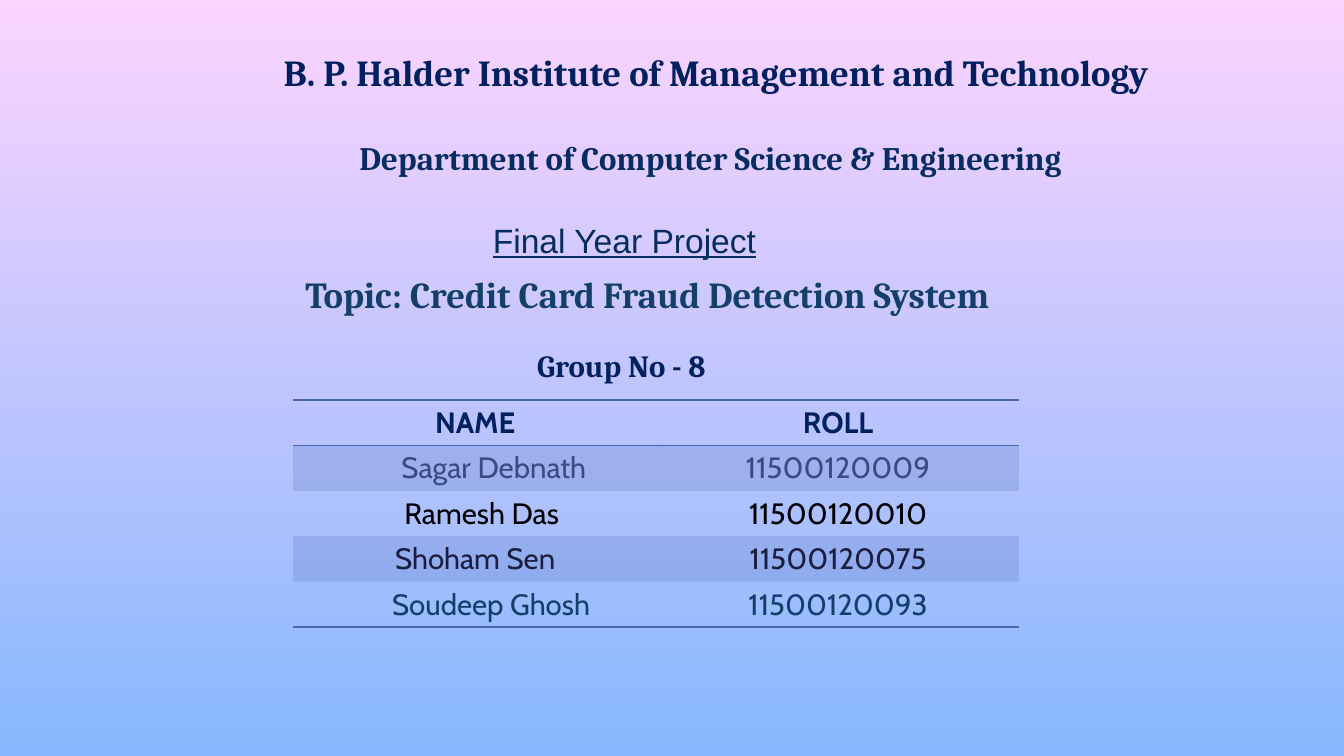
"""Build the title slide of a final year project."""
import pptx
import pptx.util
import pptx.dml.color
import pptx.enum.text
import pptx.oxml
import pptx.oxml.ns

Cm = pptx.util.Cm
Pt = pptx.util.Pt
RGB = pptx.dml.color.RGBColor
ALIGN = pptx.enum.text.PP_ALIGN

NAVY = RGB(0x00, 0x20, 0x60)
INK = RGB(0x07, 0x2C, 0x62)
TEAL = RGB(0x14, 0x3F, 0x6A)
SLATE = RGB(0x38, 0x4C, 0x81)
BLACK = RGB(0, 0, 0)
DARK = RGB(0x1B, 0x1E, 0x3E)
RULE = RGB(0x4A, 0x66, 0xAC)
PINK = RGB(0xFB, 0xD4, 0xFF)
SKY = RGB(0x87, 0xB7, 0xFF)

TEAM = [
    ("NAME", "ROLL", NAVY, 0),
    ("Sagar Debnath", "11500120009", SLATE, 0.94),
    ("Ramesh Das", "11500120010", BLACK, 0.33),
    ("Shoham Sen", "11500120075", DARK, 0),
    ("Soudeep Ghosh", "11500120093", TEAL, 0.8),
]


def write(para, text, font="Cambria", size=26.2, color=NAVY, bold=True,
          line=False, align=ALIGN.CENTER, before=0, indent=0):
    """Put formatted text into a paragraph."""
    para.alignment = align
    para.space_before = Pt(before)
    if indent:
        para._p.get_or_add_pPr().set("marL", str(Cm(indent)))
    run = para.add_run()
    run.text = text
    run.font.name = font
    run.font.size = Pt(size)
    run.font.bold = bold
    run.font.underline = line
    run.font.color.rgb = color


class Deck:
    """Hold the slide and draw its parts in one style."""

    def __init__(self):
        """Open a deck with one blank slide."""
        self.file = pptx.Presentation()
        self.file.slide_width = Cm(33.87)
        self.file.slide_height = Cm(19.05)
        self.slide = self.file.slides.add_slide(self.file.slide_layouts[6])

    def fade(self, top, base):
        """Fill the background from top to base."""
        fill = self.slide.background.fill
        fill.gradient()
        fill.gradient_angle = 270
        for stop, color, place in zip(fill.gradient_stops, (top, base), (0, 1)):
            stop.color.rgb = color
            stop.position = place

    def text(self, left, top, width, height, *lines):
        """Add a text box with one paragraph per line."""
        box = self.slide.shapes.add_textbox(Cm(left), Cm(top), Cm(width), Cm(height))
        frame = box.text_frame
        frame.word_wrap = True
        for i, (words, style) in enumerate(lines):
            para = frame.add_paragraph() if i else frame.paragraphs[0]
            write(para, words, **style)

    def edge(self, cell, rules):
        """Draw the ruled sides of a cell and clear the others."""
        props = cell._tc.get_or_add_tcPr()
        for i, side in enumerate("LRTB"):
            paint = "<a:noFill/>"
            if side in rules:
                paint = f'<a:solidFill><a:srgbClr val="{RULE}"/></a:solidFill>'
            props.insert(i, pptx.oxml.parse_xml(
                f'<a:ln{side} {pptx.oxml.ns.nsdecls("a")} w="{Pt(1)}">{paint}</a:ln{side}>'))

    def shade(self, cell, band):
        """Tint a banded cell and leave the others clear."""
        if not band:
            cell.fill.background()
            return
        cell.fill.solid()
        cell.fill.fore_color.rgb = RULE
        tint = cell._tc.tcPr.find(".//" + pptx.oxml.ns.qn("a:srgbClr"))
        tint.append(pptx.oxml.parse_xml(
            f'<a:alpha {pptx.oxml.ns.nsdecls("a")} val="20000"/>'))

    def table(self, left, top, widths, tall, rows):
        """Add the table of names and rolls."""
        grid = self.slide.shapes.add_table(
            len(rows), len(widths), Cm(left), Cm(top),
            Cm(sum(widths)), Cm(tall * len(rows))).table
        grid.first_row = grid.horz_banding = False
        for col, width in zip(grid.columns, widths):
            col.width = Cm(width)
        rules = {0: "TB", 1: "T", len(rows) - 1: "B"}
        for r, (name, roll, color, indent) in enumerate(rows):
            grid.rows[r].height = Cm(tall)
            for c, (words, shift) in enumerate(((name, indent), (roll, 0))):
                cell = grid.cell(r, c)
                write(cell.text_frame.paragraphs[0], words, font="Cabin", size=21,
                      color=color, bold=r == 0, indent=shift)
                self.shade(cell, r % 2)
                self.edge(cell, rules.get(r, ""))


def main():
    """Draw the slide and save it."""
    deck = Deck()
    deck.fade(PINK, SKY)
    deck.text(5.79, 1.12, 24.23, 3.78,
              ("B. P. Halder Institute of Management and Technology", dict(indent=0.28)),
              ("Department of Computer Science & Engineering",
               dict(size=23.4, color=INK, before=32)))
    deck.text(12.17, 5.41, 8.28, 1.27,
              ("Final Year Project", dict(font="Arial", size=24, color=INK, bold=False,
                                          line=True, align=ALIGN.LEFT)))
    deck.text(6.55, 6.73, 19.53, 1.37,
              ("Topic: Credit Card Fraud Detection System", dict(color=TEAL)))
    deck.table(7.39, 10.08, (9.17, 9.12), 1.13, TEAM)
    deck.text(12.83, 8.61, 5.66, 1.19, ("Group No - 8", dict(size=22)))
    deck.file.save("out.pptx")


if __name__ == "__main__":
    main()
